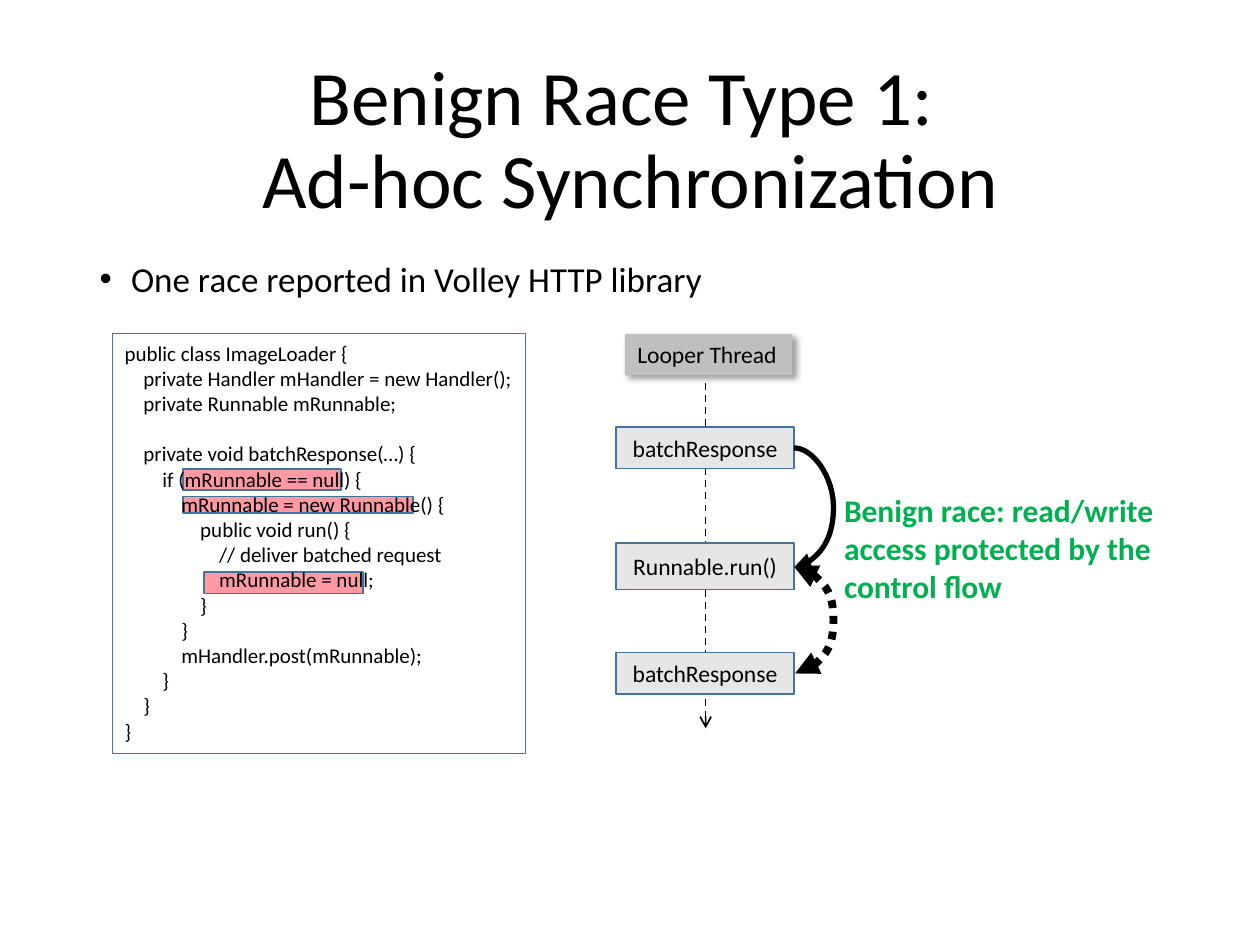
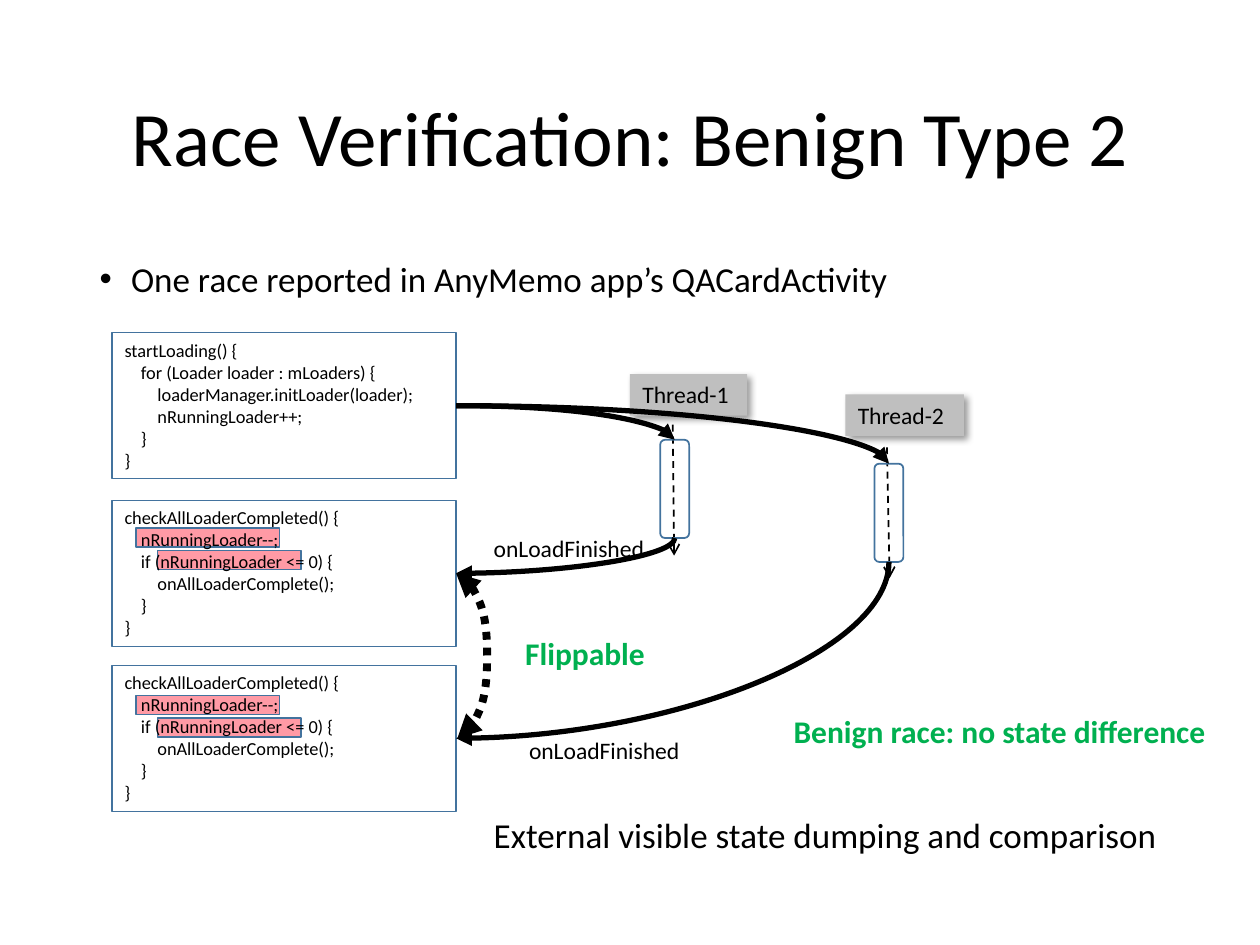
import dataclasses

import lxml.etree
import pptx
import pptx.dml.color
import pptx.enum.dml
import pptx.enum.shapes
import pptx.enum.text
import pptx.oxml
import pptx.oxml.ns
import pptx.util
from pptx.util import Inches

FONT = "Calibri"
BLACK, GREEN, BLUE = "000000", "00B050", "43739E"
PINK, GREY, PALE = "FF9AA5", "BFBFBF", "E7E6E6"
TOP, BOTTOM, RIGHT = 0, 2, 3  # connection sites of a rectangle
LABEL_SIZE, NOTE_SIZE = 13.5, 18

Align = pptx.enum.text.PP_ALIGN
Anchor = pptx.enum.text.MSO_ANCHOR
AutoSize = pptx.enum.text.MSO_AUTO_SIZE
Preset = pptx.enum.shapes.MSO_SHAPE
Line = pptx.enum.shapes.MSO_CONNECTOR
Dash = pptx.enum.dml.MSO_LINE

IMAGE_LOADER = """public class ImageLoader {
    private Handler mHandler = new Handler();
    private Runnable mRunnable;

    private void batchResponse(…) {
        if (mRunnable == null) {
            mRunnable = new Runnable() {
                public void run() {
                    // deliver batched request
                    mRunnable = null;
                }
            }
            mHandler.post(mRunnable);
        }
    }
}"""
START_LOADING = """startLoading() {
    for (Loader loader : mLoaders) {
        loaderManager.initLoader(loader);
        nRunningLoader++;
    }
}"""
CHECK_COMPLETED = """checkAllLoaderCompleted() {
    nRunningLoader--;
    if (nRunningLoader <= 0) {
        onAllLoaderComplete();
    }
}"""


@dataclasses.dataclass(frozen=True)
class Box:
    left: float
    top: float
    width: float
    height: float

    def lengths(self) -> tuple:
        return tuple(Inches(value) for value in dataclasses.astuple(self))


@dataclasses.dataclass(frozen=True)
class Note:
    text: str
    box: Box
    size: float = LABEL_SIZE
    color: str = BLACK
    bold: bool = False
    wrap: bool = False


@dataclasses.dataclass(frozen=True)
class Thread:
    name: str
    label: Box
    start: tuple
    end: tuple
    wrap: bool = True


def rgb(color: str) -> pptx.dml.color.RGBColor:
    return pptx.dml.color.RGBColor.from_string(color)


def write(frame, text: str, size: float, color: str = BLACK, bold: bool = False,
          align=Align.LEFT) -> None:
    frame.text = text
    for paragraph in frame.paragraphs:
        paragraph.alignment = align
        paragraph.font.name = FONT
        paragraph.font.size = pptx.util.Pt(size)
        paragraph.font.color.rgb = rgb(color)
        paragraph.font.bold = bold


def add_panel(slide, box: Box, fill: str | None = None, outline: str | None = BLUE,
              weight: float = 1, preset=Preset.RECTANGLE):
    panel = slide.shapes.add_shape(preset, *box.lengths())
    panel.shadow.inherit = False
    if fill:
        panel.fill.solid()
        panel.fill.fore_color.rgb = rgb(fill)
    else:
        panel.fill.background()
    if outline:
        panel.line.color.rgb = rgb(outline)
        panel.line.width = pptx.util.Pt(weight)
    else:
        panel.line.fill.background()
    return panel


def add_code(slide, code: str, box: Box, size: float):
    frame = add_panel(slide, box, weight=0.75)
    frame.text_frame.vertical_anchor = Anchor.TOP
    frame.text_frame.word_wrap = True
    write(frame.text_frame, code, size)
    return frame


def add_event(slide, name: str, box: Box):
    event = add_panel(slide, box, PALE)
    event.text_frame.vertical_anchor = Anchor.MIDDLE
    write(event.text_frame, name, LABEL_SIZE, align=Align.CENTER)
    return event


def add_note(slide, note: Note) -> None:
    frame = slide.shapes.add_textbox(*note.box.lengths()).text_frame
    frame.word_wrap = note.wrap
    frame.auto_size = AutoSize.SHAPE_TO_FIT_TEXT
    write(frame, note.text, note.size, note.color, note.bold)


def style_line(line, weight: float, dash=None, head: str | None = None,
               tail: str = "triangle") -> None:
    line.line.color.rgb = rgb(BLACK)
    line.line.width = pptx.util.Pt(weight)
    if dash:
        line.line.dash_style = dash
    properties = line._element.spPr
    stroke = properties.find(pptx.oxml.ns.qn("a:ln"))
    for tag, arrow in (("a:headEnd", head), ("a:tailEnd", tail)):
        if arrow:
            lxml.etree.SubElement(stroke, pptx.oxml.ns.qn(tag), type=arrow)
    lxml.etree.SubElement(properties, pptx.oxml.ns.qn("a:effectLst"))


def add_thread(slide, thread: Thread) -> None:
    """Draw a shadowed thread label and its dashed time line."""
    ends = [Inches(value) for value in thread.start + thread.end]
    style_line(slide.shapes.add_connector(Line.STRAIGHT, *ends), 1, Dash.DASH, tail="arrow")
    label = add_panel(slide, thread.label, GREY, None)
    label.text_frame.vertical_anchor = Anchor.TOP
    label.text_frame.word_wrap = thread.wrap
    write(label.text_frame, thread.name, LABEL_SIZE)
    effects = label._element.spPr.find(pptx.oxml.ns.qn("a:effectLst"))
    effects.append(pptx.oxml.parse_xml(
        f'<a:outerShdw {pptx.oxml.ns.nsdecls("a")} blurRad="50800" dist="38100" dir="2700000" '
        'algn="tl" rotWithShape="0"><a:srgbClr val="000000"><a:alpha val="40000"/>'
        '</a:srgbClr></a:outerShdw>'))


def add_curve(slide, source, source_site: int, target, target_site: int):
    curve = slide.shapes.add_connector(Line.CURVE, 0, 0, 0, 0)
    curve.begin_connect(source, source_site)
    curve.end_connect(target, target_site)
    return curve


def add_bend(slide, source, source_site: int, target, target_site: int) -> None:
    """Draw a quarter curve; one that leaves a bottom side is turned by 90 degrees."""
    curve = add_curve(slide, source, source_site, target, target_site)
    curve._element.spPr.prstGeom.set("prst", "curvedConnector2")
    if source_site == BOTTOM:
        left, top, width, height = curve.left, curve.top, curve.width, curve.height
        curve.left, curve.top = left + (width - height) // 2, top + (height - width) // 2
        curve.width, curve.height = height, width
        transform = curve._element.spPr.xfrm
        transform.attrib.pop("flipH", None)
        transform.set("rot", "5400000")
    style_line(curve, 3)


def add_bulge(slide, source, target, reach: float, flippable: bool) -> None:
    """Join two right sides by a curve that reaches out to the right."""
    curve = add_curve(slide, source, RIGHT, target, RIGHT)
    breadth = 0.01
    curve.width = Inches(breadth)
    curve._element.spPr.xfrm.attrib.pop("flipH", None)
    geometry = curve._element.spPr.prstGeom
    guides = geometry.get_or_add_avLst()
    lxml.etree.SubElement(guides, pptx.oxml.ns.qn("a:gd"), name="adj1",
                          fmla=f"val {round(reach / breadth * 100000)}")
    if flippable:
        style_line(curve, 4.5, Dash.ROUND_DOT, head="triangle")
    else:
        style_line(curve, 3)


def add_slide(deck, title: str, bullet: str, highlights: list[Box]):
    slide = deck.slides.add_slide(deck.slide_layouts[1])
    heading, body = slide.placeholders
    places = (Box(0.69, 0.4, 8.63, 1.45), Box(0.69, 2.03, 8.62, 3.97))
    for holder, place in zip((heading, body), places):
        holder.left, holder.top, holder.width, holder.height = place.lengths()
        holder.text_frame.auto_size = AutoSize.NONE
    heading.text_frame.vertical_anchor = Anchor.MIDDLE
    write(heading.text_frame, title, 44, align=Align.CENTER)
    write(body.text_frame, bullet, 20)
    for holder in (heading, body):
        holder.text_frame.paragraphs[0].line_spacing = 0.9
    item = body.text_frame.paragraphs[0]
    item.space_before = pptx.util.Pt(0)
    indent = Inches(0.25)
    settings = item._p.get_or_add_pPr()
    settings.set("marL", str(indent))
    settings.set("indent", str(-indent))
    for highlight in highlights:
        add_panel(slide, highlight, PINK)
    return slide


def build_synchronization(deck) -> None:
    slide = add_slide(
        deck, "Benign Race Type 1: \vAd-hoc Synchronization",
        "One race reported in Volley HTTP library",
        [Box(1.45, 3.72, 1.26, 0.17), Box(1.45, 3.94, 1.83, 0.13), Box(1.62, 4.54, 1.26, 0.17)])
    add_code(slide, IMAGE_LOADER, Box(0.89, 2.65, 3.28, 3.33), 12)
    add_thread(slide, Thread("Looper Thread", Box(4.96, 2.65, 1.33, 0.33),
                             (5.6, 3.04), (5.6, 5.78), wrap=False))
    first, run, second = [
        add_event(slide, name, Box(4.89, top, 1.41, height))
        for name, top, height in (("batchResponse", 3.39, 0.33), ("Runnable.run()", 4.31, 0.37),
                                  ("batchResponse", 5.18, 0.33))]
    add_bulge(slide, first, run, 0.32, flippable=False)
    add_bulge(slide, run, second, 0.32, flippable=True)
    add_note(slide, Note("Benign race: read/write access protected by the control flow",
                         Box(6.6, 3.85, 3.11, 1.01), NOTE_SIZE, GREEN, True, wrap=True))


def build_verification(deck) -> None:
    slide = add_slide(
        deck, "Race Verification: Benign Type 2",
        "One race reported in AnyMemo app’s QACardActivity",
        [Box(left, top + offset, 1.14, 0.15)
         for top in (4.19, 5.52) for left, offset in ((1.08, 0), (1.25, 0.18))])
    loading, first_check, second_check = [
        add_code(slide, code, Box(0.89, top, 2.73, 1.16), 10.5)
        for code, top in ((START_LOADING, 2.64), (CHECK_COMPLETED, 3.97),
                          (CHECK_COMPLETED, 5.28))]
    add_thread(slide, Thread("Thread-1", Box(5, 2.97, 0.93, 0.33), (5.34, 3.37), (5.35, 4.41)))
    add_thread(slide, Thread("Thread-2", Box(6.71, 3.13, 0.94, 0.33), (7.04, 3.55), (7.06, 4.59)))
    for left, top, check in ((5.24, 3.49, first_check), (6.94, 3.68, second_check)):
        loader = add_panel(slide, Box(left, top, 0.23, 0.78), preset=Preset.ROUNDED_RECTANGLE)
        add_bend(slide, loading, RIGHT, loader, TOP)
        add_bend(slide, loader, BOTTOM, check, RIGHT)
    add_bulge(slide, first_check, second_check, 0.25, flippable=True)
    for note in (
        Note("onLoadFinished", Box(3.82, 4.19, 1.42, 0.33)),
        Note("onLoadFinished", Box(4.1, 5.79, 1.42, 0.33)),
        Note("Flippable", Box(4.07, 4.98, 1.16, 0.4), NOTE_SIZE, GREEN, True),
        Note("External visible state dumping and comparison", Box(3.82, 6.41, 5.51, 0.44), 20),
        Note("Benign race: no state difference", Box(6.2, 5.6, 3.51, 0.4), NOTE_SIZE, GREEN, True),
    ):
        add_note(slide, note)


def main() -> None:
    deck = pptx.Presentation()
    deck.slide_width, deck.slide_height = Inches(10), Inches(7.5)
    build_synchronization(deck)
    build_verification(deck)
    deck.save("out.pptx")


if __name__ == "__main__":
    main()
